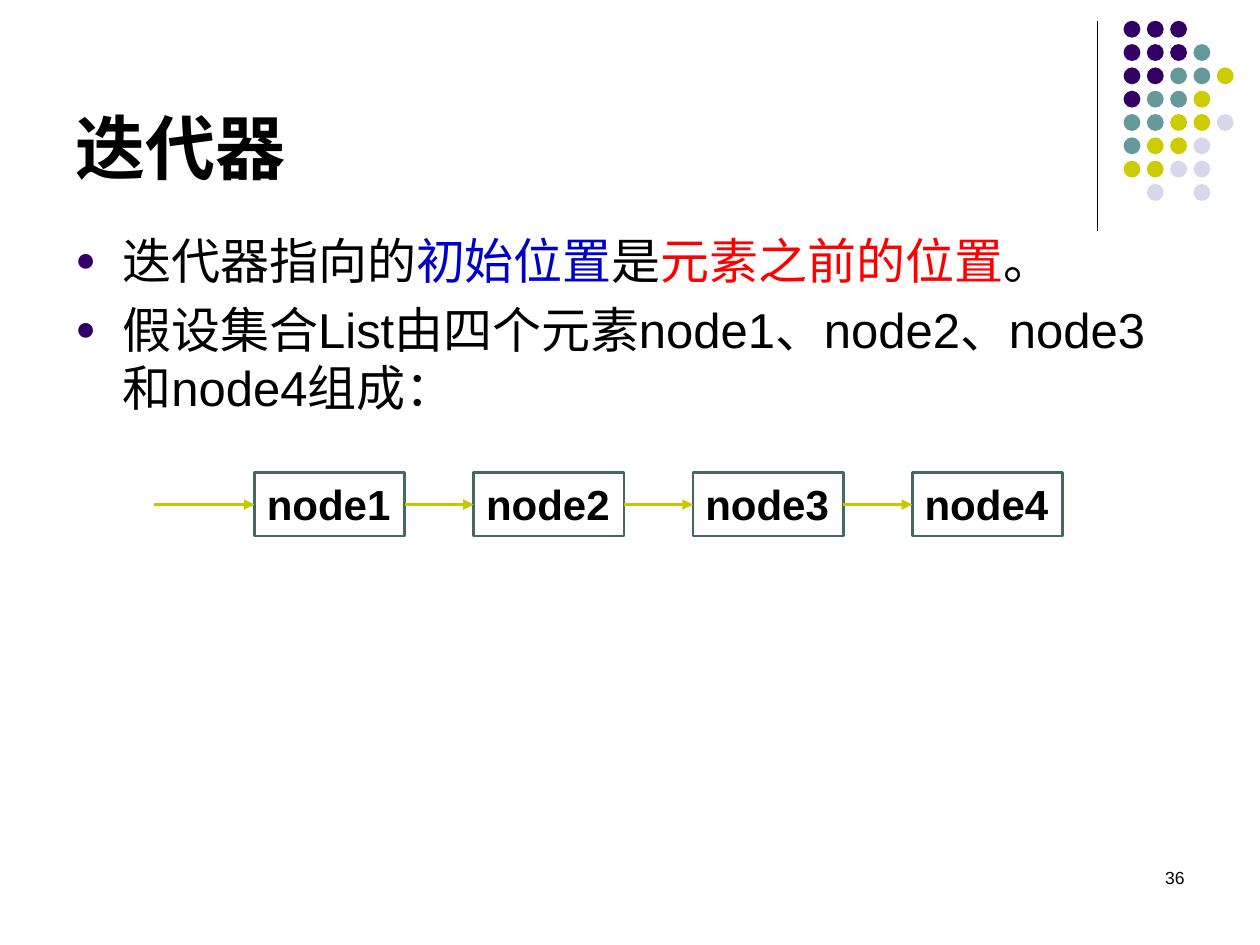
"""Build a slide on where an iterator starts in a list of four nodes."""
from dataclasses import dataclass
from typing import Optional

from lxml.etree import SubElement
from pptx import Presentation
from pptx.dml.color import RGBColor as Rgb
from pptx.enum.shapes import MSO_CONNECTOR as Link, MSO_SHAPE as Shape
from pptx.enum.text import MSO_ANCHOR as Anchor, MSO_AUTO_SIZE as Fit, PP_ALIGN as Align
from pptx.oxml.ns import qn
from pptx.util import Cm, Pt

LATIN, HAN = "Arial", "Noto Sans CJK SC"
HEX = {
    "black": "000000", "blue": "0000CC", "red": "FF0000", "edge": "456767",
    "arrow": "C8C800", "P": "330066", "T": "669999", "Y": "CCCC00", "L": "D8D8EC",
}
DOTS = ["PPP", "PPPT", "PPTTY", "PTTY", "TTYYL", "TYYL", "YYLL", " L L"]


@dataclass
class Part:
    text: str
    color: str = "black"
    font: str = LATIN


@dataclass
class Box:
    left: float
    top: float
    width: float
    height: float

    def place(self) -> tuple:
        return Cm(self.left), Cm(self.top), Cm(self.width), Cm(self.height)


LINES = [
    [Part("迭代器指向的"), Part("初始位置", "blue", HAN), Part("是"),
     Part("元素之前的位置", "red", HAN), Part("。")],
    [Part("假设集合List由四个元素node1、node2、node3和node4组成：")],
]


def tint(name: str) -> Rgb:
    return Rgb.from_string(HEX[name])


def style(run, size: float, bold: bool = False, color: str = "black", face: str = LATIN) -> None:
    font = run.font
    font.size, font.bold, font.name = Pt(size), bold, face
    font.color.rgb = tint(color)
    SubElement(font._element, qn("a:ea"), typeface=HAN)


def add_title(slide, text: str, box: Box) -> None:
    title = slide.shapes.title
    title.left, title.top, title.width, title.height = box.place()
    frame = title.text_frame
    frame.text = text
    frame.auto_size, frame.vertical_anchor = Fit.NONE, Anchor.BOTTOM
    para = frame.paragraphs[0]
    para.alignment = Align.LEFT
    style(para.runs[0], 40, True)


def add_frame(slide, box: Box):
    frame = slide.shapes.add_textbox(*box.place()).text_frame
    frame.word_wrap = True
    return frame


def add_bullet(para, parts: list[Part]) -> None:
    para.space_before = Pt(5.6)
    props = para._p.get_or_add_pPr()
    props.set("marL", str(Cm(0.95)))
    props.set("indent", str(Cm(-0.95)))
    SubElement(SubElement(props, qn("a:buClr")), qn("a:srgbClr"), val=HEX["P"])
    SubElement(props, qn("a:buSzPct"), val="70000")
    SubElement(props, qn("a:buFont"), typeface=LATIN)
    SubElement(props, qn("a:buChar"), char="●")
    for part in parts:
        run = para.add_run()
        run.text = part.text
        style(run, 28, color=part.color, face=part.font)


def add_dots(slide, left: float, top: float, step: float, size: float) -> None:
    for row, marks in enumerate(DOTS):
        for col, mark in enumerate(marks):
            if mark == " ":
                continue
            box = Box(left + col * step, top + row * step, size, size)
            dot = slide.shapes.add_shape(Shape.OVAL, *box.place())
            dot.shadow.inherit = False
            dot.fill.solid()
            dot.fill.fore_color.rgb = tint(mark)
            dot.line.fill.background()


def add_node(slide, text: str, box: Box):
    node = slide.shapes.add_shape(Shape.RECTANGLE, *box.place())
    node.shadow.inherit = False
    node.fill.background()
    node.line.color.rgb, node.line.width = tint("edge"), Pt(1.5)
    frame = node.text_frame
    frame.text = text
    frame.word_wrap, frame.vertical_anchor = False, Anchor.TOP
    para = frame.paragraphs[0]
    para.alignment = Align.LEFT
    style(para.runs[0], 24, True)
    return node


def add_line(slide, start: tuple, end: tuple, color: str, width: float):
    line = slide.shapes.add_connector(Link.STRAIGHT, *map(Cm, start + end))
    line.line.color.rgb, line.line.width = tint(color), Pt(width)
    SubElement(line._element.spPr, qn("a:effectLst"))
    return line


def add_arrow(slide, start: tuple, last: Optional[object], node) -> None:
    arrow = add_line(slide, start, start, "arrow", 2)
    if last is not None:
        arrow.begin_connect(last, 3)
    arrow.end_connect(node, 1)
    SubElement(arrow.line._get_or_add_ln(), qn("a:tailEnd"), type="triangle")


def main() -> None:
    deck = Presentation()
    deck.slide_width, deck.slide_height = Cm(25.4), Cm(19.05)
    slide = deck.slides.add_slide(deck.slide_layouts[5])

    add_line(slide, (22.12, 0.43), (22.12, 4.65), "black", 0.75)
    add_dots(slide, 22.65, 0.42, 0.47, 0.34)
    add_title(slide, "迭代器", Box(1.27, 0.33, 20.95, 3.6))

    body = add_frame(slide, Box(1.27, 4.52, 22.86, 12.5))
    for i, parts in enumerate(LINES):
        add_bullet(body.add_paragraph() if i else body.paragraphs[0], parts)

    foot = add_frame(slide, Box(18.2, 17.35, 5.93, 1.27))
    foot.text = "36"
    foot.paragraphs[0].alignment = Align.RIGHT
    style(foot.paragraphs[0].runs[0], 10)

    last = None
    for i in range(4):
        node = add_node(slide, f"node{i + 1}", Box(5.13 + i * 4.42, 9.53, 3.03, 1.28))
        add_arrow(slide, (3.1, 10.17), last, node)
        last = node

    deck.save("out.pptx")


if __name__ == "__main__":
    main()
